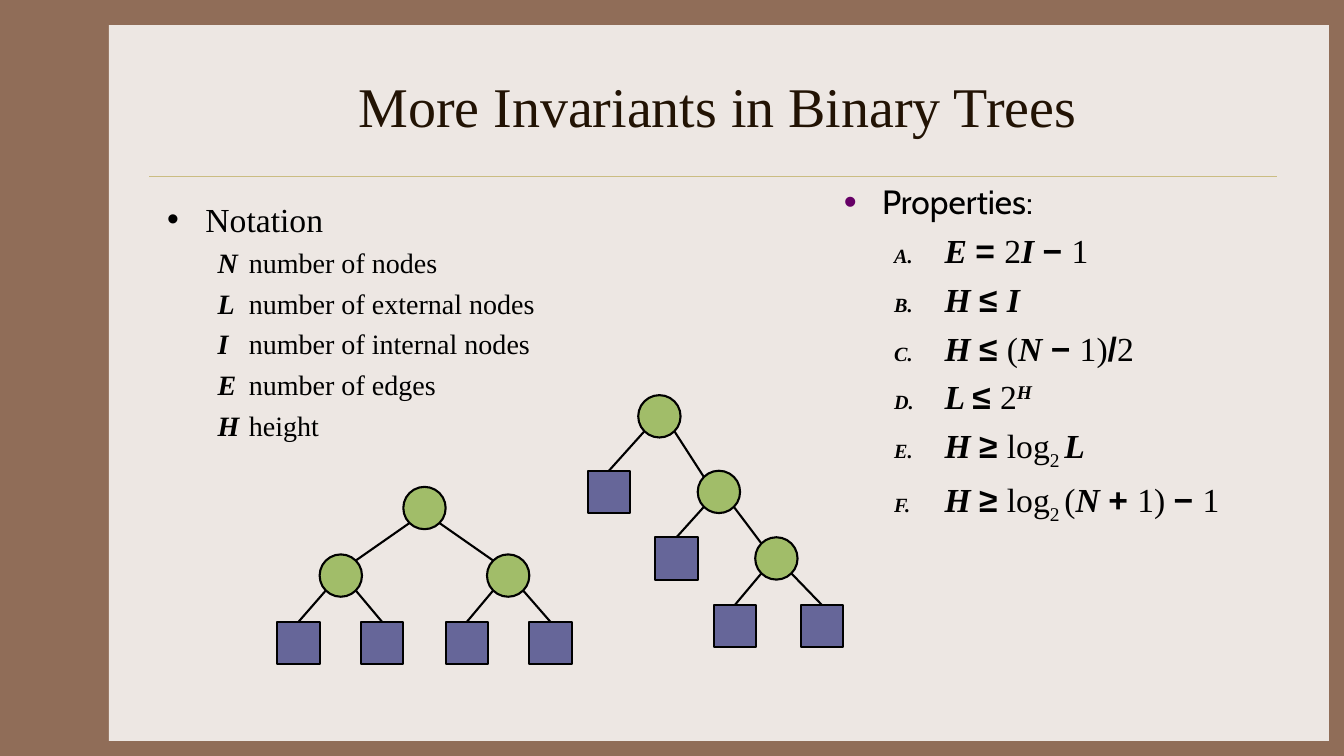
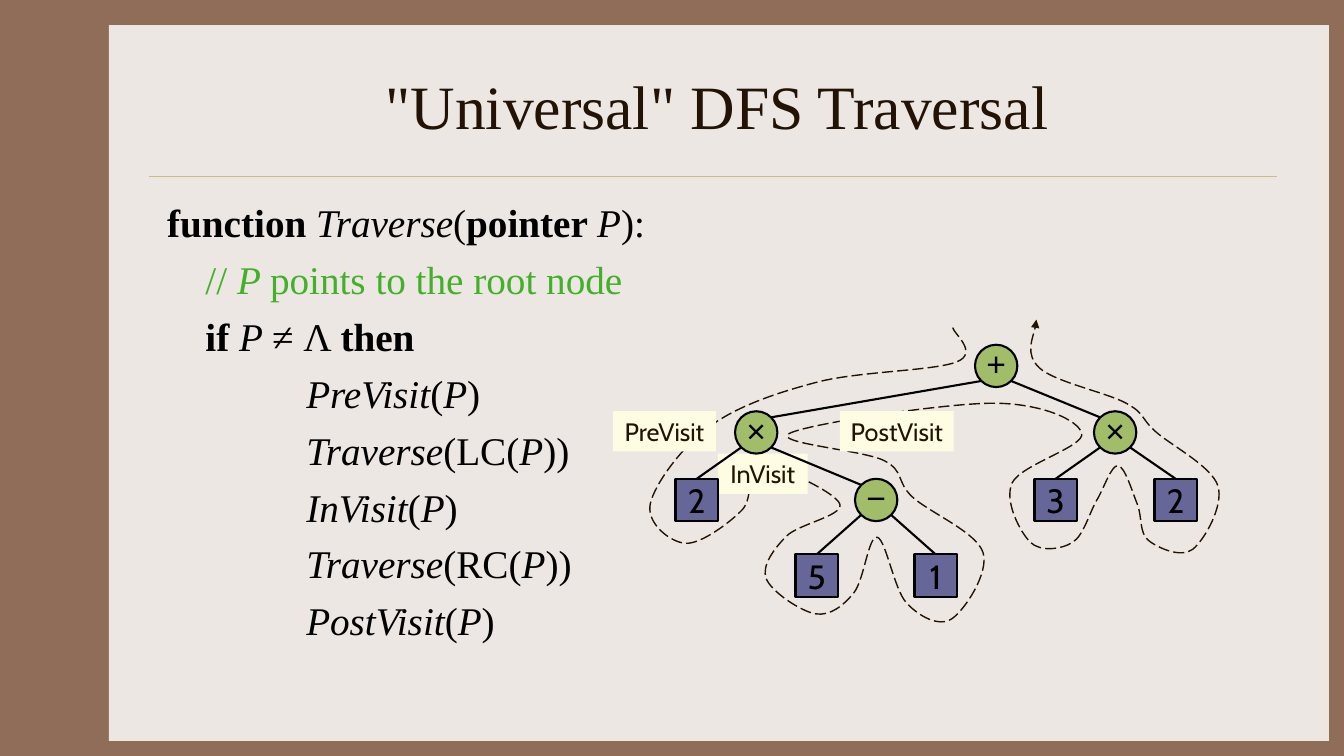
from lxml.etree import SubElement
from pptx import Presentation
from pptx.dml.color import RGBColor
from pptx.enum.dml import MSO_LINE
from pptx.enum.shapes import MSO_CONNECTOR, MSO_SHAPE
from pptx.enum.text import MSO_ANCHOR, MSO_AUTO_SIZE, PP_ALIGN
from pptx.oxml.ns import qn
from pptx.util import Pt

PX = 9144
BROWN = RGBColor(0x90, 0x6D, 0x58)
PAPER = RGBColor(0xED, 0xE7, 0xE3)
GOLD = RGBColor(0xCB, 0xBD, 0x83)
DARK = RGBColor(0x22, 0x13, 0x04)
BLACK = RGBColor(0, 0, 0)
COMMENT_GREEN = RGBColor(0x43, 0xB0, 0x2A)
NODE_GREEN = RGBColor(0xA1, 0xBD, 0x69)
LEAF_BLUE = RGBColor(0x66, 0x66, 0x99)
CREAM = RGBColor(0xFE, 0xFD, 0xE3)
SERIF, SANS, SYMBOL = "Times New Roman", "Cabin", "Arial"

STYLES = {
    "plain": {"name": SERIF},
    "sans": {"name": SANS},
    "bold": {"name": SERIF, "bold": True},
    "italic": {"name": SERIF, "italic": True},
    "variable": {"name": SERIF, "bold": True, "italic": True},
    "super": {"name": SERIF, "bold": True, "italic": True},
    "sub": {"name": SERIF},
    "operator": {"name": SYMBOL, "bold": True},
}
BASELINES = {"super": "30000", "sub": "-25000"}
DOT = [("a:buFont", {"typeface": SYMBOL}), ("a:buChar", {"char": "•"})]


def add_text(slide, box, lines):
    frame = slide.shapes.add_textbox(*[value * PX for value in box]).text_frame
    frame.word_wrap = True
    for index, (size, margin, indent, bullet, colour, runs) in enumerate(lines):
        paragraph = frame.paragraphs[0] if index == 0 else frame.add_paragraph()
        properties = paragraph._p.get_or_add_pPr()
        properties.set("marL", str(margin * PX))
        properties.set("indent", str(indent * PX))
        for tag, attributes in bullet:
            SubElement(properties, qn(tag), attributes)
        if index:
            paragraph.space_before = Pt(size / 4)
        for style, text in runs:
            run = paragraph.add_run()
            run.text = text
            run.font.size = Pt(size)
            run.font.color.rgb = colour
            for name, value in STYLES[style].items():
                setattr(run.font, name, value)
            if style in BASELINES:
                run.font._element.set("baseline", BASELINES[style])


def add_line(slide, ends, colour, width):
    line = slide.shapes.add_connector(MSO_CONNECTOR.STRAIGHT, *[value * PX for value in ends])
    line.line.color.rgb = colour
    line.line.width = Pt(width)
    SubElement(line.element.spPr, qn("a:effectLst"))
    return line


presentation = Presentation()
presentation.slide_width = 1333 * PX
presentation.slide_height = 750 * PX
layout = presentation.slide_layouts[5]
background = presentation.slide_master.background.fill
background.solid()
background.fore_color.rgb = BROWN
title_box = {"left": 156, "top": 42, "width": 1111, "height": 125}
for name, value in title_box.items():
    setattr(layout.placeholders[0], name, value * PX)

slides = []
for title_text, title_size in [("More Invariants in Binary Trees", 40), ('"Universal" DFS Traversal', 44)]:
    slide = presentation.slides.add_slide(layout)
    slides.append(slide)
    frame = slide.shapes.title.text_frame
    frame.text = title_text
    frame.auto_size = MSO_AUTO_SIZE.NONE
    frame.vertical_anchor = MSO_ANCHOR.MIDDLE
    paragraph = frame.paragraphs[0]
    paragraph.alignment = PP_ALIGN.CENTER
    font = paragraph.runs[0].font
    for name, value in {"name": SERIF, "size": Pt(title_size)}.items():
        setattr(font, name, value)
    font.color.rgb = DARK
invariants, traversal = slides

panel = invariants.shapes.add_shape(MSO_SHAPE.RECTANGLE, 108 * PX, 25 * PX, 1210 * PX, 710 * PX)
panel.shadow.inherit = False
panel.fill.solid()
panel.fill.fore_color.rgb = PAPER
panel.line.fill.background()
rule = add_line(invariants, (148, 175, 1267, 175), GOLD, 0.25)
for position, part in enumerate([panel, rule], start=2):
    layout.shapes.element.insert(position, part.element)

notation = [(24, 38, -38, DOT, BLACK, [("plain", "Notation")])]
for symbol, meaning in [
    ("N", "number of nodes"),
    ("L", "number of external nodes"),
    ("I", "number of internal nodes"),
    ("E", "number of edges"),
    ("H", "height"),
]:
    notation.append((20, 81, -31, [], BLACK, [("variable", symbol + "\t"), ("plain", meaning)]))
add_text(invariants, (156, 192, 600, 260), notation)

purple_dot = [("a:buClr", {}), ("a:buSzPct", {"val": "110000"})] + DOT
letter = [
    ("a:buClr", {}),
    ("a:buSzPct", {"val": "60000"}),
    ("a:buFont", {"typeface": SERIF}),
    ("a:buAutoNum", {"type": "alphaUcPeriod"}),
]
properties_lines = [(24, 38, -38, purple_dot, BLACK, [("sans", "Properties:")])]
for runs in [
    [("variable", "E "), ("operator", "= "), ("plain", "2"), ("variable", "I "), ("operator", "− "), ("plain", "1")],
    [("variable", "H "), ("operator", "≤ "), ("variable", "I")],
    [("variable", "H "), ("operator", "≤ "), ("plain", "("), ("variable", "N "), ("operator", "− "),
     ("plain", "1)"), ("operator", "/"), ("plain", "2")],
    [("variable", "L "), ("operator", "≤ "), ("plain", "2"), ("super", "H")],
    [("variable", "H "), ("operator", "≥ "), ("plain", "log"), ("sub", "2 "), ("variable", "L")],
    [("variable", "H "), ("operator", "≥ "), ("plain", "log"), ("sub", "2 "), ("plain", "("), ("variable", "N "),
     ("operator", "+ "), ("plain", "1) "), ("operator", "− "), ("plain", "1")],
]:
    properties_lines.append((24, 100, -50, letter, BLACK, runs))
add_text(invariants, (827, 175, 415, 400), properties_lines)
for bullet_colour in invariants.shapes.element.iter(qn("a:buClr")):
    is_dot = bullet_colour.getparent().find(qn("a:buChar")) is not None
    SubElement(bullet_colour, qn("a:srgbClr"), {"val": "660066" if is_dot else "000000"})

code = [
    (28, 0, 0, [], BLACK, [("bold", "function "), ("italic", "Traverse"), ("plain", "("), ("bold", "pointer "),
                           ("italic", "P"), ("plain", "):")]),
    (28, 38, 0, [], COMMENT_GREEN, [("plain", "// "), ("italic", "P "), ("plain", "points to the root node")]),
    (28, 38, 0, [], BLACK, [("bold", "if "), ("italic", "P "), ("plain", "≠ Λ "), ("bold", "then")]),
]
for call, opening, closing in [
    ("PreVisit", "(", ")"),
    ("Traverse", "(LC(", "))"),
    ("InVisit", "(", ")"),
    ("Traverse", "(RC(", "))"),
    ("PostVisit", "(", ")"),
]:
    code.append((28, 138, 0, [], BLACK, [("italic", call), ("plain", opening), ("italic", "P"), ("plain", closing)]))
add_text(traversal, (156, 192, 600, 450), code)

stops = [
    (945, 325), (949, 359), (811, 379), (704, 423), (645, 500), (680, 539), (736, 506), (755, 462),
    (833, 500), (780, 532), (760, 574), (809, 609), (847, 588), (870, 533), (899, 598), (944, 614),
    (975, 548), (905, 493), (877, 457), (783, 430), (985, 400), (1073, 430), (1004, 479), (1022, 538),
    (1064, 538), (1088, 496), (1109, 462), (1128, 500), (1139, 536), (1183, 545), (1208, 482),
    (1146, 428), (1117, 400), (1031, 365), (1028, 317),
]
padded = [stops[0]] + stops + [stops[-1]]
curve_points = []
for before, start, end, after in zip(padded, padded[1:], padded[2:], padded[3:]):
    curve_points += [
        tuple(s + (e - b) / 6 for b, s, e in zip(before, start, end)),
        tuple(e - (a - s) / 6 for s, e, a in zip(start, end, after)),
        end,
    ]
builder = traversal.shapes.build_freeform(stops[0][0] * PX, stops[0][1] * PX)
builder.add_line_segments([(round(x * PX), round(y * PX)) for x, y in curve_points], close=False)
tour = builder.convert_to_shape()
outline = next(tour.element.iter(qn("a:path")))
segments = outline.findall(qn("a:lnTo"))
for first in range(0, len(segments), 3):
    cubic = SubElement(outline, qn("a:cubicBezTo"))
    for segment in segments[first:first + 3]:
        cubic.append(segment[0])
        outline.remove(segment)
tour.shadow.inherit = False
tour.fill.background()
tour.line.color.rgb = DARK
for name, value in {"width": Pt(1), "dash_style": MSO_LINE.LONG_DASH}.items():
    setattr(tour.line, name, value)
SubElement(tour.element.spPr.find(qn("a:ln")), qn("a:tailEnd"), {"type": "triangle"})

for text, left, top, width in [("PreVisit", 608, 408, 102), ("InVisit", 712, 450, 89), ("PostVisit", 833, 408, 113)]:
    label = traversal.shapes.add_shape(MSO_SHAPE.RECTANGLE, left * PX, top * PX, width * PX, 40 * PX)
    label.shadow.inherit = False
    label.fill.solid()
    label.fill.fore_color.rgb = CREAM
    label.line.fill.background()
    label.text_frame.text = text
    label.text_frame.word_wrap = False
    paragraph = label.text_frame.paragraphs[0]
    paragraph.alignment = PP_ALIGN.CENTER
    for name, value in {"name": SANS, "size": Pt(18)}.items():
        setattr(paragraph.runs[0].font, name, value)
    paragraph.runs[0].font.color.rgb = DARK

NODE, RADIUS, CORNER = 42, 21, 15
trees = [
    (invariants, [
        (400, 483, "inner", "", None), (317, 550, "inner", "", 0), (483, 550, "inner", "", 0),
        (275, 617, "leaf", "", 1), (358, 617, "leaf", "", 1), (442, 617, "leaf", "", 2), (525, 617, "leaf", "", 2),
    ]),
    (invariants, [
        (633, 392, "inner", "", None), (583, 467, "leaf", "", 0), (692, 467, "inner", "", 0),
        (650, 533, "leaf", "", 2), (749, 533, "inner", "", 2), (708, 600, "leaf", "", 4), (794, 600, "leaf", "", 4),
    ]),
    (traversal, [
        (967, 342, "inner", "+", None), (729, 408, "inner", "×", 0), (1085, 408, "inner", "×", 0),
        (670, 475, "leaf", "2", 1), (848, 475, "inner", "−", 1), (789, 550, "leaf", "5", 4),
        (907, 550, "leaf", "1", 4), (1026, 475, "leaf", "3", 2), (1145, 475, "leaf", "2", 2),
    ]),
]
kinds = {
    "inner": (MSO_SHAPE.OVAL, NODE_GREEN, SYMBOL),
    "leaf": (MSO_SHAPE.RECTANGLE, LEAF_BLUE, SANS),
}
inner_insets = {"margin_left": 0, "margin_top": 0, "margin_right": 0, "margin_bottom": 5 * PX}
for slide, nodes in trees:
    for left, top, kind, text, parent in nodes:
        if parent is not None:
            parent_left, parent_top = nodes[parent][:2]
            side = 1 if left > parent_left else -1
            start = (parent_left + RADIUS + side * CORNER, parent_top + RADIUS + CORNER)
            if kind == "leaf":
                end = (left + RADIUS, top)
            else:
                end = (left + RADIUS - side * CORNER, top + RADIUS - CORNER)
            add_line(slide, start + end, BLACK, 1.5)
    for left, top, kind, text, parent in nodes:
        preset, colour, typeface = kinds[kind]
        shape = slide.shapes.add_shape(preset, left * PX, top * PX, NODE * PX, NODE * PX)
        shape.shadow.inherit = False
        shape.fill.solid()
        shape.fill.fore_color.rgb = colour
        shape.line.color.rgb = BLACK
        shape.line.width = Pt(1.5)
        if text:
            frame = shape.text_frame
            frame.text = text
            frame.word_wrap = False
            if kind == "inner":
                for name, value in inner_insets.items():
                    setattr(frame, name, value)
            paragraph = frame.paragraphs[0]
            paragraph.alignment = PP_ALIGN.CENTER
            for name, value in {"name": typeface, "size": Pt(24)}.items():
                setattr(paragraph.runs[0].font, name, value)
            paragraph.runs[0].font.color.rgb = BLACK

presentation.save("out.pptx")
